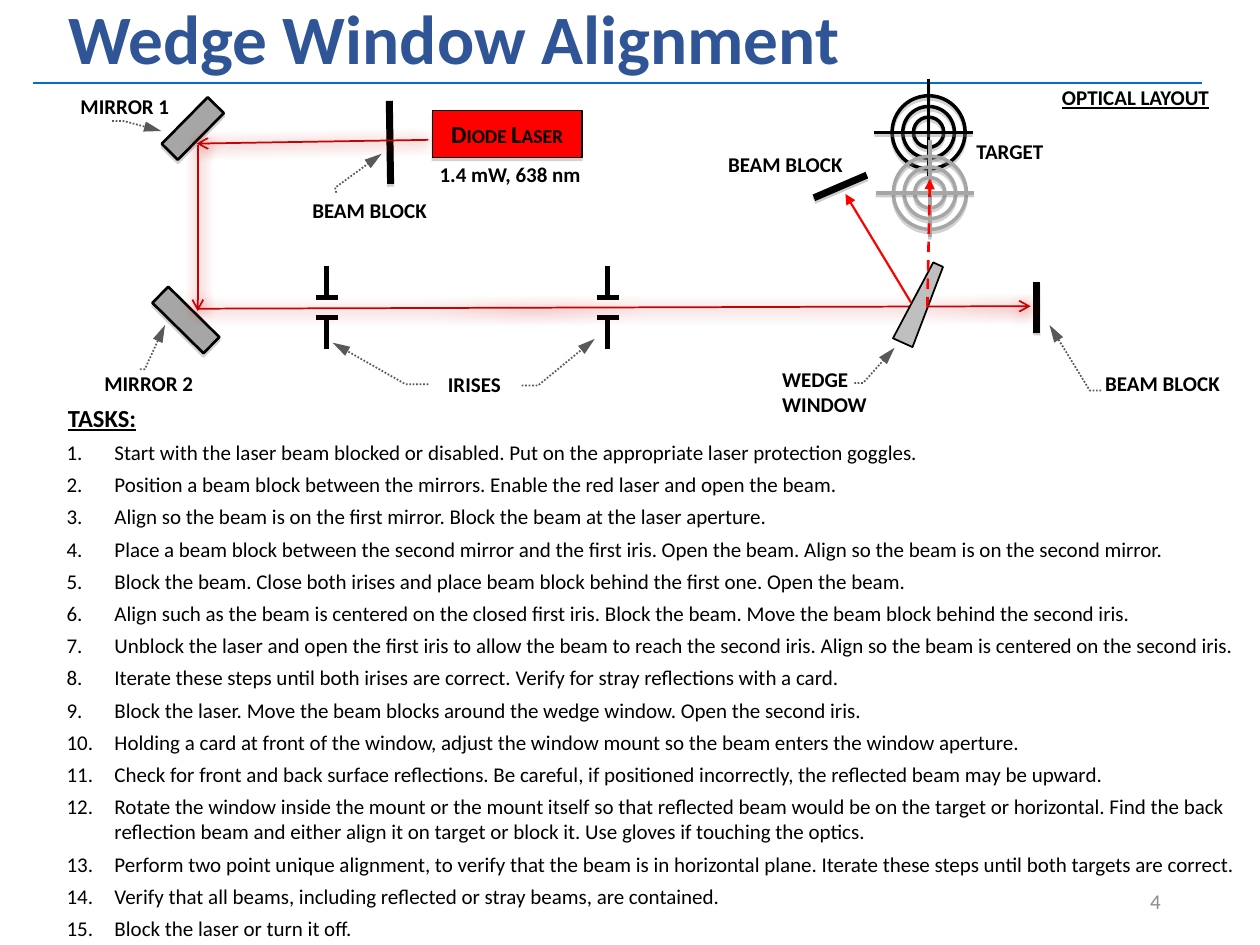
"""Build the wedge window alignment slide: optical layout above, numbered tasks below."""
from lxml.etree import SubElement
from pptx import Presentation
from pptx.dml.color import RGBColor
from pptx.enum.dml import MSO_LINE
from pptx.enum.shapes import MSO_CONNECTOR, MSO_SHAPE
from pptx.enum.text import MSO_ANCHOR, MSO_AUTO_SIZE, PP_ALIGN
from pptx.oxml.ns import qn
from pptx.util import Inches, Pt

COLORS = {
    "title": "2F5597", "number": "8C8C8C", "rule": "0070C0", "ink": "000000",
    "beam": "C70202", "red": "FF0000", "mirror": "A6A6A6", "wedge": "BFBFBF",
    "pointer": "595959", "shade": "808080",
}
BEAM_GLOW = ("beam", 100, 8, 1.6, 63)
LINE_SHADE = ("shade", 38, 0, 1.6, 90)
SHAPE_SHADE = ("shade", 35, 0, 1.8, 90)
LABEL = {"size": Pt(12), "bold": True}

TITLE = "Wedge Window Alignment"
HEADING = "TASKS:"
TASKS = [
    "Start with the laser beam blocked or disabled. Put on the appropriate laser protection goggles.",
    "Position a beam block between the mirrors. Enable the red laser and open the beam.",
    "Align so the beam is on the first mirror. Block the beam at the laser aperture.",
    "Place a beam block between the second mirror and the first iris. Open the beam. "
    "Align so the beam is on the second mirror.",
    "Block the beam. Close both irises and place beam block behind the first one. Open the beam.",
    "Align such as the beam is centered on the closed first iris. Block the beam. "
    "Move the beam block behind the second iris.",
    "Unblock the laser and open the first iris to allow the beam to reach the second iris. "
    "Align so the beam is centered on the second iris.",
    "Iterate these steps until both irises are correct. Verify for stray reflections with a card.",
    "Block the laser. Move the beam blocks around the wedge window. Open the second iris.",
    "Holding a card at front of the window, adjust the window mount so the beam enters the window aperture.",
    "Check for front and back surface reflections. Be careful, if positioned incorrectly, "
    "the reflected beam may be upward.",
    "Rotate the window inside the mount or the mount itself so that reflected beam would be on the target "
    "or horizontal. Find the back reflection beam and either align it on target or block it. "
    "Use gloves if touching the optics.",
    "Perform two point unique alignment, to verify that the beam is in horizontal plane. "
    "Iterate these steps until both targets are correct.",
    "Verify that all beams, including reflected or stray beams, are contained.",
    "Block the laser or turn it off.",
]
LABELS = [
    ("MIRROR 1", (0.54, 0.69, 0.96, 0.29), PP_ALIGN.LEFT),
    ("MIRROR 2", (0.73, 2.89, 0.96, 0.29), PP_ALIGN.LEFT),
    ("IRISES", (3.31, 2.9, 0.91, 0.29), PP_ALIGN.CENTER),
    ("1.4 mW, 638 nm", (3.39, 1.23, 1.39, 0.29), PP_ALIGN.LEFT),
    ("BEAM BLOCK", (2.38, 1.52, 1.18, 0.3), PP_ALIGN.LEFT),
    ("BEAM BLOCK", (5.68, 1.15, 1.14, 0.3), PP_ALIGN.LEFT),
    ("BEAM BLOCK", (8.1, 2.89, 1.68, 0.3), PP_ALIGN.RIGHT),
    ("WEDGE WINDOW", (6.11, 2.86, 0.97, 0.49), PP_ALIGN.LEFT),
    ("TARGET", (7.65, 1.05, 0.78, 0.29), PP_ALIGN.LEFT),
]
POINTERS = [
    [(2.67, 1.53), (2.66, 1.49), (3.03, 1.22)],
    [(3.4, 3.05), (3.22, 3.05), (2.64, 2.72)],
    [(4.14, 3.06), (4.27, 3.06), (4.72, 2.69)],
    [(8.74, 3.1), (8.65, 3.1), (8.33, 2.58)],
    [(1.11, 2.93), (1.15, 2.93), (1.31, 2.58)],
    [(0.89, 0.96), (0.98, 0.96), (1.28, 1.04)],
    [(6.78, 3.04), (6.85, 3.04), (7.1, 2.76)],
]
MIRRORS = [(1.44, 0.76, 0.18, 0.52), (1.19, 2.45, 0.57, 0.18)]
IRIS_CENTERS = [2.59, 4.82]
IRIS_BLADES = [(2.36, -0.25), (2.52, 0.25)]
BEAMS = [(1.57, 2.45, 8.18, 2.43), (3.4, 1.11, 1.56, 1.14), (1.57, 1.15, 1.57, 2.47)]
BEAM_BLOCKS = [(3.1, 1.46, 3.09, 0.8), (8.23, 2.24, 8.23, 2.64), (6.88, 1.39, 6.46, 1.57)]
TARGETS = [(7.37, 1.05, "ink"), (7.38, 1.53, "mirror")]
RINGS = [0.58, 0.41, 0.24]

deck = Presentation()
deck.slide_width, deck.slide_height = Inches(10), Inches(7.5)
slide = deck.slides.add_slide(deck.slide_layouts[5])


def rgb(color):
    return RGBColor.from_string(COLORS[color])


def apply(part, values):
    for name, value in values.items():
        setattr(part, name, value)


def write(paragraph, text, color="ink", **font):
    paragraph.text = text
    apply(paragraph.font, {"name": "Calibri", **font})
    paragraph.font.color.rgb = rgb(color)


def add_text(text, frame, align=PP_ALIGN.LEFT, color="ink", **font):
    box = slide.shapes.add_textbox(*map(Inches, frame)).text_frame
    box.word_wrap = True
    box.paragraphs[0].alignment = align
    write(box.paragraphs[0], text, color, **font)
    return box


def finish(part, color, width, shadow=None, dash=None, head=None, length="med"):
    part.line.color.rgb = rgb(color)
    part.line.width = Pt(width)
    if dash:
        part.line.dash_style = dash
    properties = part._element.spPr
    if head:
        SubElement(properties.find(qn("a:ln")), qn("a:tailEnd"), type=head, w="med", len=length)
    effects = properties.find(qn("a:effectLst"))
    if effects is None:
        effects = SubElement(properties, qn("a:effectLst"))
    if shadow:
        tint, opacity, blur, distance, angle = shadow
        outer = SubElement(effects, qn("a:outerShdw"), blurRad=str(Pt(blur)), dist=str(Pt(distance)),
                           dir=str(angle * 60000), rotWithShape="0")
        shade = SubElement(outer, qn("a:srgbClr"), val=COLORS[tint])
        SubElement(shade, qn("a:alpha"), val=str(opacity * 1000))


def add_line(ends, color, width, **style):
    connector = slide.shapes.add_connector(MSO_CONNECTOR.STRAIGHT, *map(Inches, ends))
    finish(connector, color, width, **style)


def add_part(kind, frame, fill, color, width, shadow=None, rotation=0):
    part = slide.shapes.add_shape(kind, *map(Inches, frame))
    part.shadow.inherit = False
    part.rotation = rotation
    if fill:
        part.fill.solid()
        part.fill.fore_color.rgb = rgb(fill)
    else:
        part.fill.background()
    finish(part, color, width, shadow)
    return part


heading = slide.shapes.title
apply(heading, dict(zip(("left", "top", "width", "height"), map(Inches, (0.44, 0, 8.62, 0.66)))))
apply(heading.text_frame, {"vertical_anchor": MSO_ANCHOR.MIDDLE, "auto_size": MSO_AUTO_SIZE.NONE})
apply(heading.text_frame.paragraphs[0], {"alignment": PP_ALIGN.LEFT, "line_spacing": 0.9})
write(heading.text_frame.paragraphs[0], TITLE, "title", size=Pt(39.6), bold=True)
page = add_text("4", (7.06, 6.95, 2.25, 0.4), PP_ALIGN.RIGHT, "number", size=Pt(12))
page.vertical_anchor = MSO_ANCHOR.MIDDLE
add_line((0.26, 0.66, 9.54, 0.66), "rule", 1.5)

for x in IRIS_CENTERS:
    for y, stem in IRIS_BLADES:
        add_line((x - 0.08, y, x + 0.09, y), "ink", 3)
        add_line((x, y, x, y + stem), "ink", 3)
for frame in MIRRORS:
    add_part(MSO_SHAPE.RECTANGLE, frame, "mirror", "ink", 1.5, SHAPE_SHADE, 44.6)
for ends in BEAM_BLOCKS:
    add_line(ends, "ink", 4, shadow=LINE_SHADE)
for ends in BEAMS:
    add_line(ends, "beam", 1, shadow=BEAM_GLOW, head="arrow")

laser = add_part(MSO_SHAPE.RECTANGLE, (3.43, 0.88, 1.19, 0.37), "red", "ink", 0.75, SHAPE_SHADE)
laser.text_frame.vertical_anchor = MSO_ANCHOR.MIDDLE
laser_name = laser.text_frame.paragraphs[0]
laser_name.alignment = PP_ALIGN.CENTER
write(laser_name, "Diode Laser", size=Pt(14), bold=True)
laser_name.runs[0]._r.get_or_add_rPr().set("cap", "small")

for start, *bends in POINTERS:
    builder = slide.shapes.build_freeform(*map(Inches, start))
    builder.add_line_segments([tuple(map(Inches, bend)) for bend in bends], close=False)
    pointer = builder.convert_to_shape()
    pointer.shadow.inherit = False
    pointer.fill.background()
    finish(pointer, "pointer", 1, dash=MSO_LINE.ROUND_DOT, head="triangle", length="lg")

add_part(MSO_SHAPE.TRAPEZOID, (7.22, 2.07, 0.17, 0.68), "wedge", "ink", 1, rotation=24.4)
for x, y, color in TARGETS:
    for ring in RINGS:
        add_part(MSO_SHAPE.OVAL, (x - ring / 2, y - ring / 2, ring, ring), None, color, 2, SHAPE_SHADE)
    for ends in ((x, y - 0.42, x, y + 0.35), (x - 0.43, y, x + 0.35, y)):
        add_line(ends, color, 2, shadow=LINE_SHADE)
add_line((7.23, 2.4, 6.71, 1.54), "red", 1.25, head="triangle")
add_line((7.36, 2.44, 7.38, 1.42), "red", 1.5, dash=MSO_LINE.DASH, head="triangle")

for text, frame, align in LABELS:
    add_text(text, frame, align, **LABEL)
layout_name = add_text("OPTICAL LAYOUT", (8.33, 0.62, 1.39, 0.3), underline=True, **LABEL)
layout_name.word_wrap = False

tasks = add_text(HEADING, (0.12, 3.15, 9.88, 4.41), size=Pt(14), bold=True, underline=True)
tasks.paragraphs[0]._p.get_or_add_pPr().set("marL", str(Inches(0.32)))
for task in TASKS:
    step = tasks.add_paragraph()
    numbering = step._p.get_or_add_pPr()
    numbering.set("marL", str(Inches(0.69)))
    numbering.set("indent", str(Inches(-0.38)))
    SubElement(numbering, qn("a:buFont"), typeface="+mj-lt")
    SubElement(numbering, qn("a:buAutoNum"), type="arabicPeriod")
    write(step, task, size=Pt(12))
for paragraph in tasks.paragraphs:
    paragraph.space_after = Pt(4)

deck.save("out.pptx")
